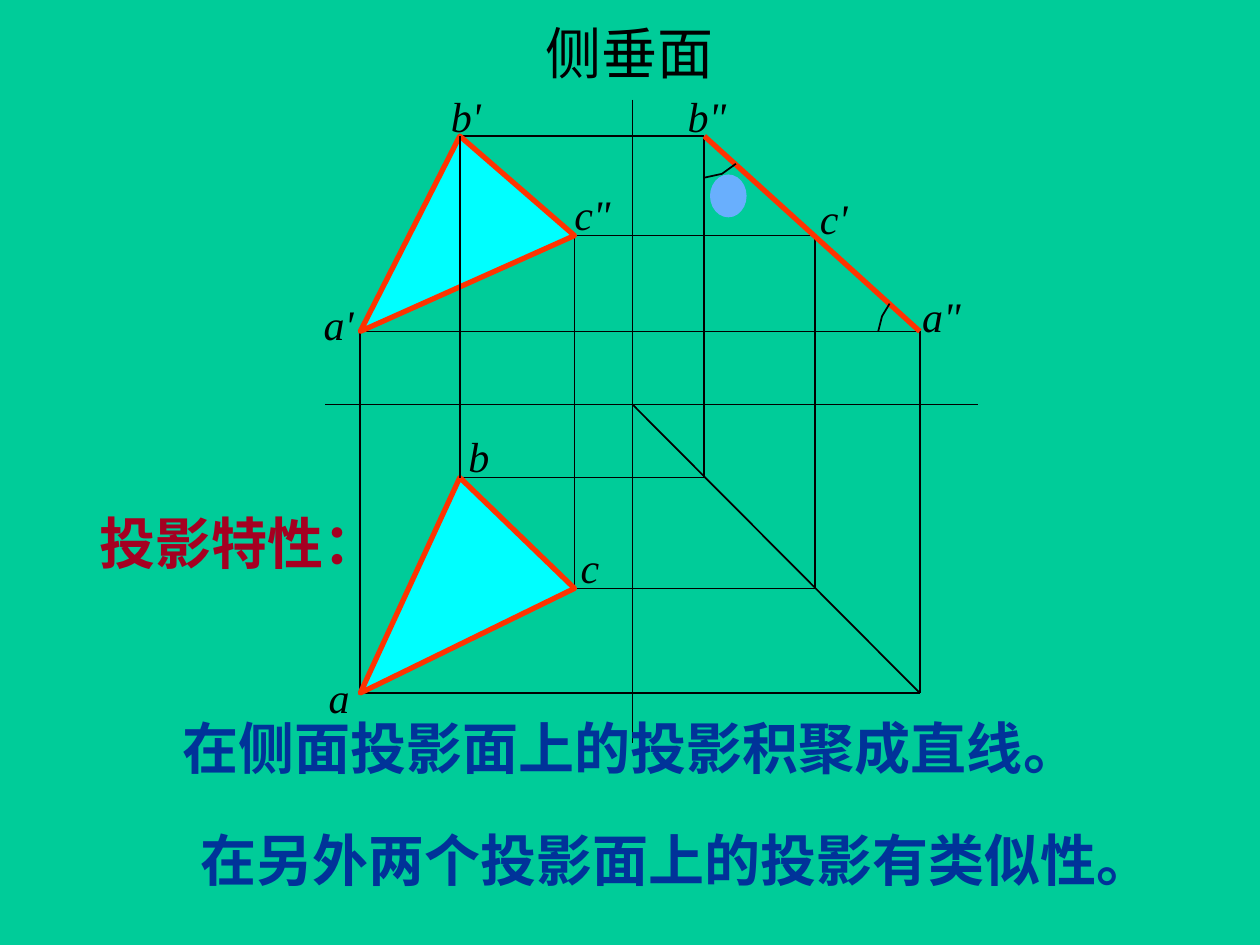
from dataclasses import dataclass

from lxml.etree import SubElement
from pptx import Presentation
from pptx.dml.color import RGBColor
from pptx.enum.shapes import MSO_CONNECTOR, MSO_SHAPE
from pptx.enum.text import MSO_ANCHOR, MSO_AUTO_SIZE, PP_ALIGN
from pptx.oxml.ns import qn
from pptx.util import Inches, Pt


@dataclass(frozen=True)
class Theme:
    back: str = "00CC99"
    ink: str = "000000"
    face: str = "00FFFF"
    edge: str = "FF3300"
    head: str = "A50021"
    note: str = "003399"
    dot: str = "69AFFD"
    font: str = "Times New Roman"
    big: float = 32
    small: float = 24
    thin: float = 1
    thick: float = 3


@dataclass(frozen=True)
class Vertex:
    """One corner of the plane in the front, top and side views."""
    x: float
    z: float
    y: float
    side: float


@dataclass(frozen=True)
class Label:
    text: str
    left: float
    top: float


@dataclass(frozen=True)
class Note:
    text: str
    left: float
    top: float
    width: float
    color: str
    align: PP_ALIGN
    inset: float = 0.1
    wrap: bool = True


THEME = Theme()
A = Vertex(2.86, 2.63, 5.5, 7.3)
B = Vertex(3.65, 1.08, 3.79, 5.59)
C = Vertex(4.56, 1.87, 4.67, 6.47)
ORIGIN = (5.02, 3.21)

LABELS = [
    Label('b"', 5.36, 0.67), Label("a'", 2.47, 2.32), Label("b'", 3.48, 0.67),
    Label('a"', 7.22, 2.26), Label("b", 3.62, 3.37), Label("a", 2.51, 5.28),
    Label('c"', 4.46, 1.45), Label("c'", 6.41, 1.48), Label("c", 4.51, 4.25),
]
NOTES = [
    Note("投影特性：", 0.47, 3.98, 2.42, THEME.head, PP_ALIGN.CENTER, wrap=False),
    Note("在侧面投影面上的投影积聚成直线。", 0.57, 5.61, 8.58, THEME.note,
         PP_ALIGN.LEFT, inset=0.88),
    Note("在另外两个投影面上的投影有类似性。", 1.24, 6.5, 8.16, THEME.note,
         PP_ALIGN.CENTER, inset=0.2),
]


def rgb(code: str) -> RGBColor:
    return RGBColor.from_string(code)


def style(frame, size: float, color: str, bold=False, italic=False) -> None:
    for run in frame.paragraphs[0].runs:
        font = run.font
        font.name, font.size = THEME.font, Pt(size)
        font.bold, font.italic = bold, italic
        font.color.rgb = rgb(color)


def textbox(slide, text: str, left: float, top: float, width: float, height: float):
    box = slide.shapes.add_textbox(*map(Inches, (left, top, width, height)))
    frame = box.text_frame
    frame.word_wrap = True
    frame.auto_size = MSO_AUTO_SIZE.SHAPE_TO_FIT_TEXT
    frame.text = text
    return frame


def line(slide, start, end, color=THEME.ink, width=THEME.thin) -> None:
    link = slide.shapes.add_connector(
        MSO_CONNECTOR.STRAIGHT, *map(Inches, (*start, *end)))
    link.line.color.rgb = rgb(color)
    link.line.width = Pt(width)
    SubElement(link._element.spPr, qn("a:effectLst"))


def outline(slide, points, color=THEME.ink, width=THEME.thin, fill=None) -> None:
    """Draw a closed, filled polygon, or an open path when fill is None."""
    spots = [(Inches(x), Inches(y)) for x, y in points]
    maker = slide.shapes.build_freeform(*spots[0], scale=1.0)
    maker.add_line_segments(spots[1:], close=fill is not None)
    shape = maker.convert_to_shape()
    shape.shadow.inherit = False
    shape.line.color.rgb = rgb(color)
    shape.line.width = Pt(width)
    if fill:
        shape.fill.solid()
        shape.fill.fore_color.rgb = rgb(fill)
    else:
        shape.fill.background()


def draw_views(slide) -> None:
    # Axes and the 45 degree mitre line
    mid, level = ORIGIN
    line(slide, (2.58, level), (7.76, level))
    line(slide, (mid, 0.79), (mid, 5.9))
    line(slide, ORIGIN, (A.side, A.y))

    # Projection lines between the views
    for v in (A, B, C):
        line(slide, (v.x, v.z), (v.side, v.z))
        line(slide, (v.x, v.y), (v.side, v.y))
        line(slide, (v.side, v.z), (v.side, v.y))
        if v is not B:
            line(slide, (v.x, v.z), (v.x, v.y))

    # Front and top views are triangles, the side view is a line
    for view in ("z", "y"):
        outline(slide, [(v.x, getattr(v, view)) for v in (B, C, A)],
                THEME.edge, THEME.thick, THEME.face)
    line(slide, (B.side, B.z), (A.side, A.z), THEME.edge, THEME.thick)

    # This projection line crosses over the front face
    line(slide, (B.x, B.z), (B.x, B.y))

    # Angle marks
    outline(slide, [(5.59, 1.41), (5.73, 1.38), (5.84, 1.3)])
    outline(slide, [(7.06, 2.41), (7, 2.51), (6.97, 2.63)])


def main() -> None:
    deck = Presentation()
    deck.slide_width, deck.slide_height = Inches(10), Inches(7.5)
    slide = deck.slides.add_slide(deck.slide_layouts[5])
    slide.background.fill.solid()
    slide.background.fill.fore_color.rgb = rgb(THEME.back)

    # Title
    title = slide.shapes.title
    title.left, title.top, title.width, title.height = map(
        Inches, (0, 0.08, 10, 0.67))
    frame = title.text_frame
    frame.text = "侧垂面"
    frame.vertical_anchor = MSO_ANCHOR.MIDDLE
    frame.paragraphs[0].alignment = PP_ALIGN.CENTER
    style(frame, THEME.big, THEME.ink)

    # Vertex labels
    for label in LABELS:
        frame = textbox(slide, label.text, label.left, label.top, 0.9, 0.5)
        style(frame, THEME.small, THEME.ink, italic=True)

    draw_views(slide)

    # Statements
    for note in NOTES:
        frame = textbox(slide, note.text, note.left, note.top, note.width, 0.64)
        frame.word_wrap = note.wrap
        frame.margin_left = Inches(note.inset)
        frame.vertical_anchor = MSO_ANCHOR.MIDDLE
        frame.paragraphs[0].alignment = note.align
        style(frame, THEME.big, note.color, bold=True)

    # Dot beside the upper angle
    dot = slide.shapes.add_shape(
        MSO_SHAPE.OVAL, *map(Inches, (5.64, 1.39, 0.28, 0.33)))
    dot.shadow.inherit = False
    dot.fill.solid()
    dot.fill.fore_color.rgb = rgb(THEME.dot)
    dot.line.color.rgb = rgb(THEME.dot)
    dot.line.width = Pt(0.75)

    deck.save("out.pptx")


if __name__ == "__main__":
    main()
